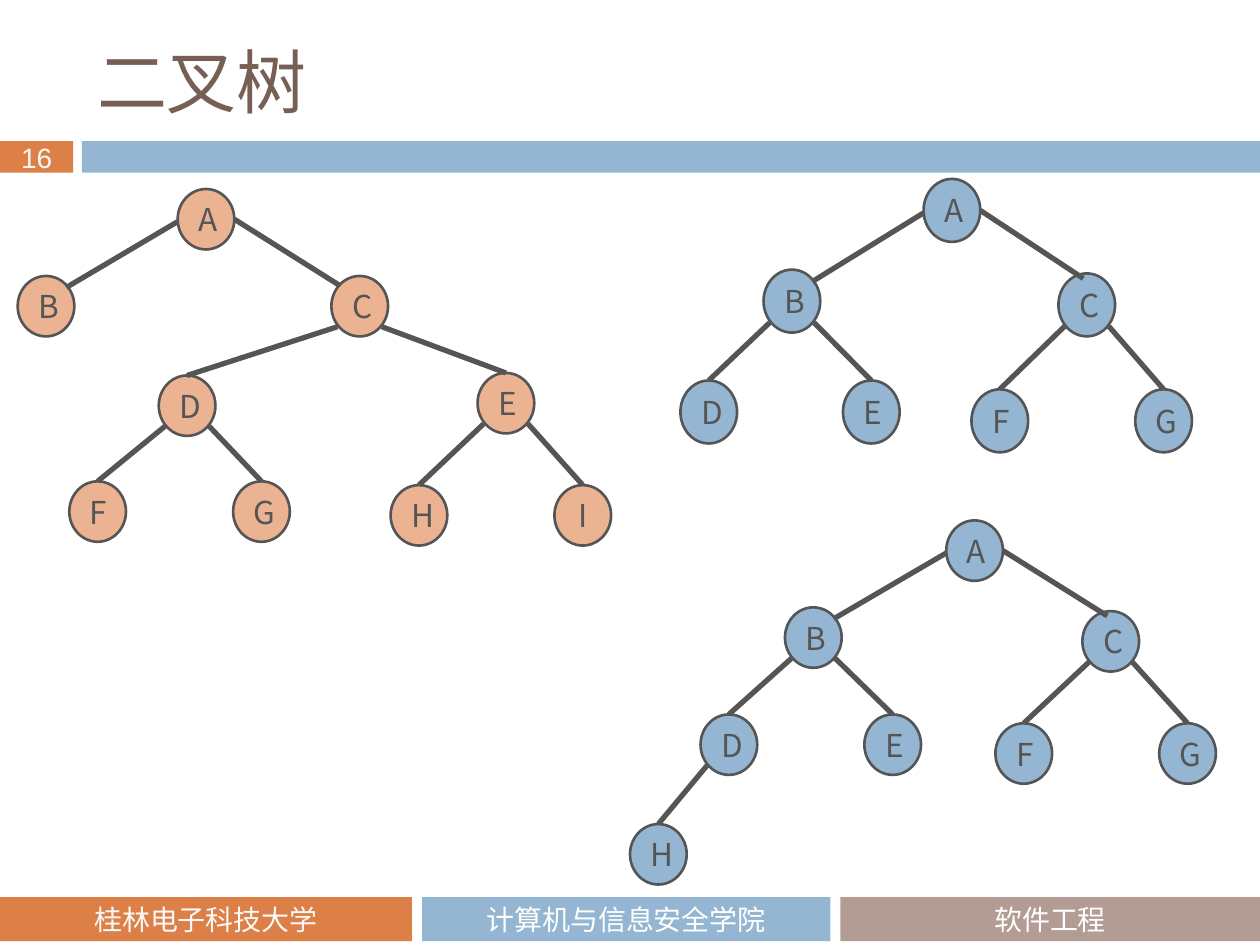
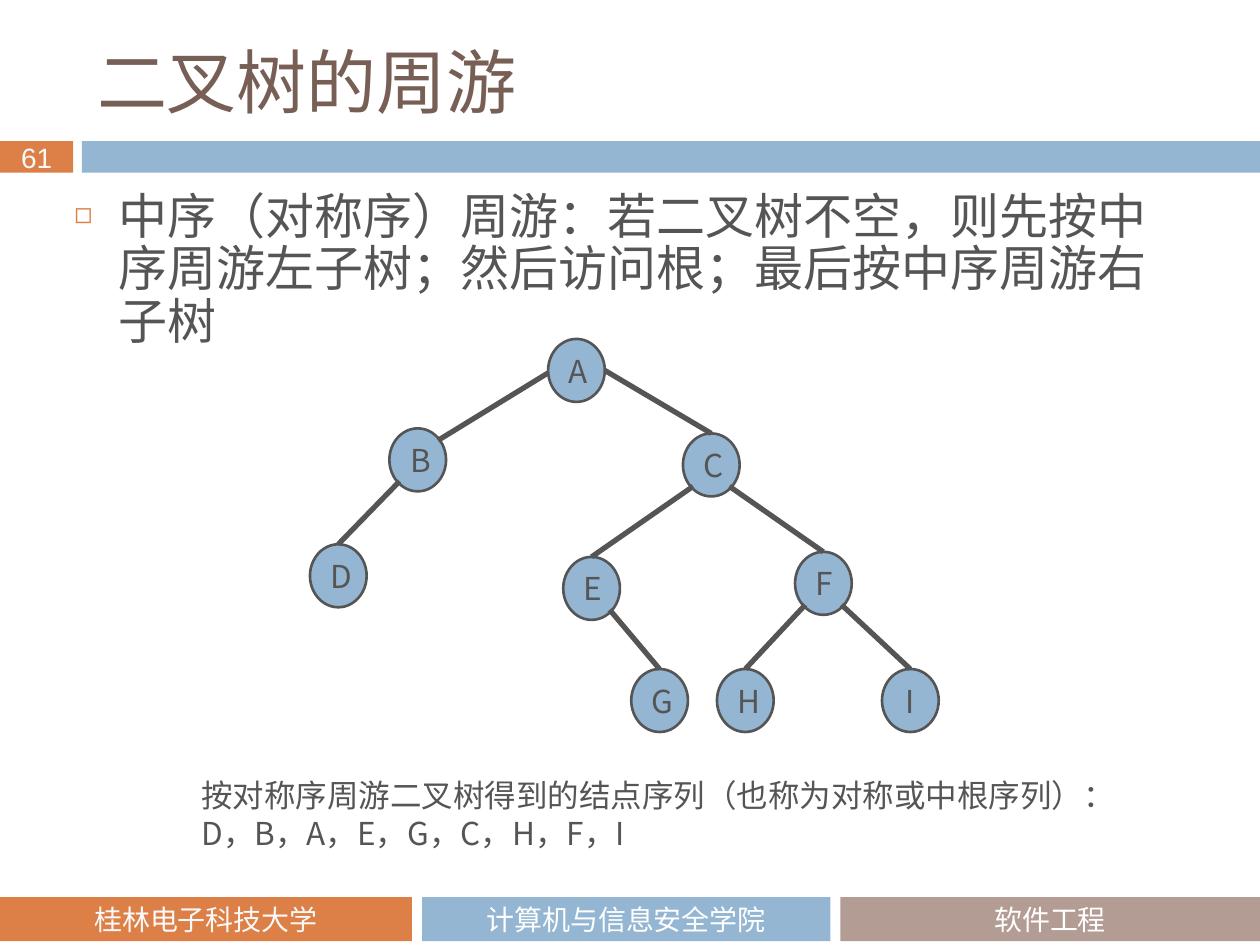
from lxml.etree import SubElement
from pptx import Presentation
from pptx.dml.color import RGBColor
from pptx.enum.shapes import MSO_CONNECTOR, MSO_SHAPE
from pptx.enum.text import MSO_ANCHOR, MSO_AUTO_SIZE, PP_ALIGN
from pptx.oxml.ns import qn
from pptx.util import Inches, Pt

COLORS = {
    "orange": "DD8047", "blue": "94B6D2", "taupe": "B29C93", "peach": "EBB391",
    "title": "775F55", "ink": "555555", "white": "FFFFFF", "off_white": "F9F9F9",
}
BODY_FONT = "Noto Sans CJK SC"
NODE_WIDTH = 0.45

# left, width, colour, text, text colour
FOOTERS = [
    (0, 3.27, "orange", "桂林电子科技大学", "off_white"),
    (3.35, 3.24, "blue", "计算机与信息安全学院", "white"),
    (6.67, 3.33, "taupe", "软件工程", "white"),
]

# Nodes give the left and top of each ellipse. Anchors are shares of an ellipse:
# "right_child" is where the root's right edge lands, "inset" is how far in from
# the sides the lower edges start.
FULL_TREE = {
    "fill": "peach", "height": 0.48, "right_child": (0.15, 0.16), "inset": 0.11,
    "nodes": {
        "A": (1.41, 1.5), "B": (0.14, 2.19), "C": (2.63, 2.19),
        "D": (1.26, 2.98), "E": (3.79, 2.96), "F": (0.55, 3.82),
        "G": (1.85, 3.82), "H": (3.1, 3.85), "I": (4.4, 3.85),
    },
    "edges": "AB AC CD CE DF DG EH EI",
}
PERFECT_TREE = {
    "fill": "blue", "height": 0.5, "right_child": (0.44, 0.08), "inset": 0.11,
    "nodes": {
        "A": (7.33, 1.42), "B": (6.06, 2.14), "C": (8.4, 2.17), "D": (5.4, 3.02),
        "E": (6.69, 3.02), "F": (7.71, 3.09), "G": (9.01, 3.09),
    },
    "edges": "AB AC BD BE CF CG",
}
COMPLETE_TREE = {
    "fill": "blue", "height": 0.48, "right_child": (0.44, 0.08), "inset": 0.12,
    "nodes": {
        "A": (7.51, 4.13), "B": (6.23, 4.82), "C": (8.59, 4.85), "D": (5.56, 5.67),
        "E": (6.86, 5.67), "F": (7.9, 5.74), "G": (9.2, 5.74), "H": (5, 6.54),
    },
    "edges": "AB AC BD BE CF CG DH",
}
TRAVERSAL_TREE = {
    "fill": "blue", "height": 0.5, "right_child": (0.5, 0), "inset": 0.18,
    "nodes": {
        "A": (4.35, 2.69), "B": (3.09, 3.4), "C": (5.42, 3.44),
        "D": (2.46, 4.32), "E": (4.47, 4.42), "F": (6.31, 4.38),
        "G": (5.01, 5.31), "H": (5.69, 5.31), "I": (7, 5.31),
    },
    "edges": "AB AC BD CE CF EG FH FI",
}
SLIDES = [
    {"title": "二叉树", "number": "16", "layout": 5,
     "trees": [FULL_TREE, PERFECT_TREE, COMPLETE_TREE]},
    {"title": "二叉树的周游", "number": "61", "layout": 1, "trees": [TRAVERSAL_TREE],
     "body": "中序（对称序）周游：若二叉树不空，则先按中序周游左子树；"
             "然后访问根；最后按中序周游右子树",
     "result": "按对称序周游二叉树得到的结点序列（也称为对称或中根序列）："
               "D，B，A，E，G，C，H，F，I"},
]


def write(shape, text, size, font_name, color, align=PP_ALIGN.LEFT, anchor=MSO_ANCHOR.MIDDLE):
    """Fill a shape with one paragraph, format it and return the paragraph."""
    text_frame = shape.text_frame
    text_frame.text = text
    text_frame.word_wrap = True
    text_frame.auto_size = MSO_AUTO_SIZE.NONE
    text_frame.vertical_anchor = anchor
    paragraph = text_frame.paragraphs[0]
    paragraph.alignment = align
    run = paragraph.runs[0]
    run.font.size = Pt(size)
    run.font.name = font_name
    run.font.color.rgb = RGBColor.from_string(COLORS[color])
    east_asian = SubElement(run._r.get_or_add_rPr(), qn("a:ea"))
    east_asian.set("typeface", font_name)
    return paragraph


def add_filled(shapes, kind, left, top, width, height, fill):
    shape = shapes.add_shape(kind, Inches(left), Inches(top), Inches(width), Inches(height))
    shape.shadow.inherit = False
    shape.fill.solid()
    shape.fill.fore_color.rgb = RGBColor.from_string(COLORS[fill])
    shape.line.fill.background()
    return shape


presentation = Presentation()
presentation.slide_width = Inches(10)
presentation.slide_height = Inches(7.5)

for content in SLIDES:
    slide = presentation.slides.add_slide(presentation.slide_layouts[content["layout"]])

    # Title, header band and footer
    title = slide.shapes.title
    title.left, title.top = Inches(0.67), Inches(0.25)
    title.width, title.height = Inches(8.92), Inches(0.78)
    write(title, content["title"], 40, "Noto Sans CJK JP", "title")

    number_band = add_filled(slide.shapes, MSO_SHAPE.RECTANGLE, 0, 1.12, 0.58, 0.25, "orange")
    number_band.text_frame.margin_top = number_band.text_frame.margin_bottom = 0
    write(number_band, content["number"], 16, "Arial", "off_white", PP_ALIGN.CENTER)
    add_filled(slide.shapes, MSO_SHAPE.RECTANGLE, 0.65, 1.12, 9.35, 0.25, "blue")
    for left, width, fill, text, text_color in FOOTERS:
        footer = add_filled(slide.shapes, MSO_SHAPE.RECTANGLE, left, 7.12, width, 0.35, fill)
        write(footer, text, 16, "Calibri", text_color, PP_ALIGN.CENTER)

    # Definition with a hollow square bullet
    if "body" in content:
        body = slide.placeholders[1]
        body.left, body.top = Inches(0.49), Inches(1.47)
        body.width, body.height = Inches(8.92), Inches(5.23)
        paragraph = write(body, content["body"], 28, BODY_FONT, "ink", anchor=MSO_ANCHOR.TOP)
        paragraph.line_spacing = Pt(30)
        paragraph.space_before = Pt(0)
        properties = paragraph._p.get_or_add_pPr()
        properties.set("marL", str(Inches(0.35)))
        properties.set("indent", str(-Inches(0.35)))
        bullet_color = SubElement(properties, qn("a:buClr"))
        SubElement(bullet_color, qn("a:srgbClr")).set("val", COLORS["orange"])
        SubElement(properties, qn("a:buSzPct")).set("val", "60000")
        SubElement(properties, qn("a:buChar")).set("char", "◻")

    for tree in content["trees"]:
        group = slide.shapes.add_group_shape()
        nodes, height, inset = tree["nodes"], tree["height"], tree["inset"]
        for name, (left, top) in nodes.items():
            node = add_filled(group.shapes, MSO_SHAPE.OVAL, left, top, NODE_WIDTH, height,
                              tree["fill"])
            node.line.color.rgb = RGBColor.from_string(COLORS["ink"])
            node.line.width = Pt(1.5)
            write(node, name, 18, BODY_FONT, "ink", PP_ALIGN.CENTER)

        for parent, child in tree["edges"].split():
            goes_left = nodes[child][0] < nodes[parent][0]
            if parent == "A":
                start = (0, 0.54) if goes_left else (1, 0.5)
                end = (0.86, 0.19) if goes_left else tree["right_child"]
            else:
                start = (inset if goes_left else 1 - inset, 0.84)
                end = (0.5, 0)
            points = [
                Inches(nodes[name][axis] + share[axis] * (NODE_WIDTH, height)[axis])
                for name, share in ((parent, start), (child, end))
                for axis in (0, 1)
            ]
            edge = group.shapes.add_connector(MSO_CONNECTOR.STRAIGHT, *points)
            edge.line.color.rgb = RGBColor.from_string(COLORS["ink"])
            edge.line.width = Pt(3)
            SubElement(edge._element.spPr, qn("a:effectLst"))

    if "result" in content:
        result = slide.shapes.add_textbox(Inches(1.5), Inches(6.11), Inches(7.47), Inches(0.71))
        write(result, content["result"], 18, BODY_FONT, "ink", anchor=MSO_ANCHOR.TOP)

presentation.save("out.pptx")
